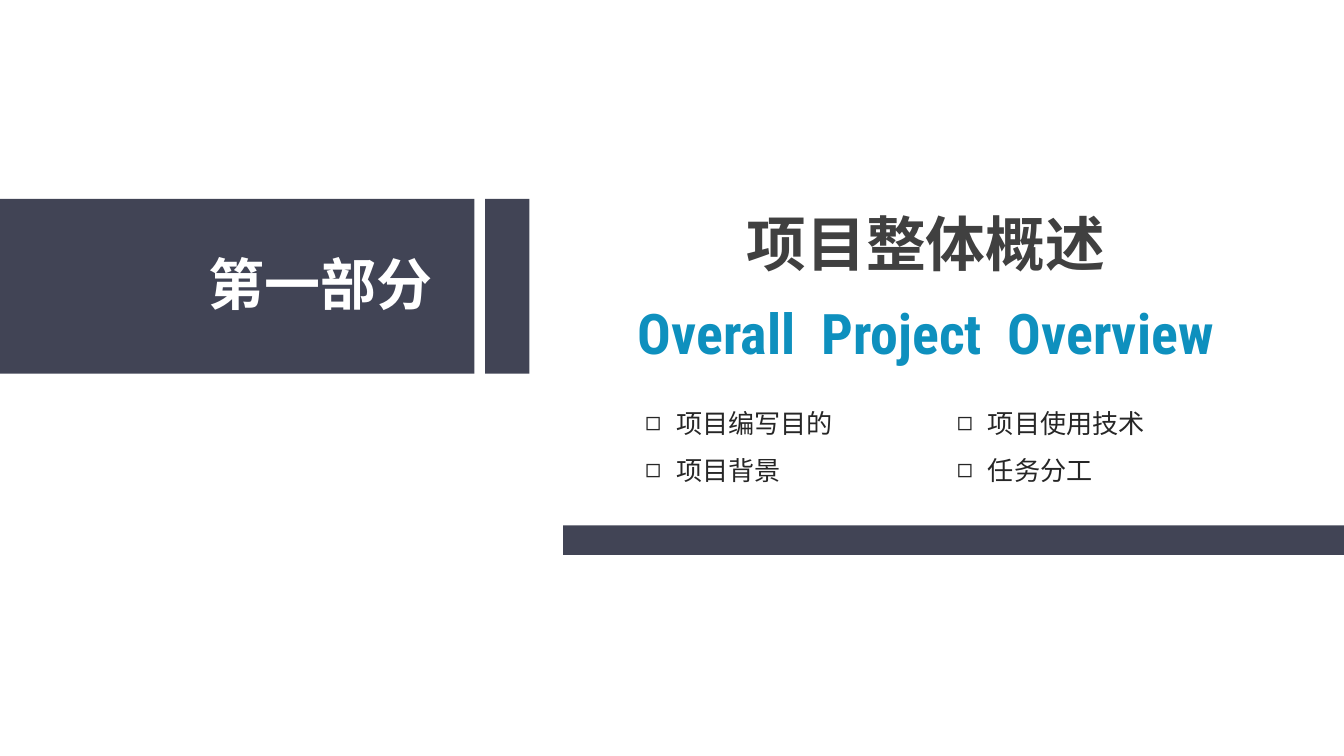
from lxml import etree
from pptx import Presentation
from pptx.dml.color import RGBColor
from pptx.enum.shapes import MSO_SHAPE as Shape
from pptx.enum.text import MSO_ANCHOR as Anchor, MSO_AUTO_SIZE as AutoSize, PP_ALIGN as Align
from pptx.oxml.ns import qn
from pptx.util import Inches, Pt

COLORS = {"navy": "414455", "white": "FFFFFF", "blue": "0E90BE", "gray": "404040", "ink": "262626"}
CJK, LATIN = "Noto Sans CJK SC", "Roboto Condensed"

# Content
PART = "第一部分"
TITLE = "项目整体概述"
SUBTITLE = "Overall  Project  Overview"
TOPICS = [["项目编写目的", "项目背景"], ["项目使用技术", "任务分工"]]

# Layout: left, top, width, height
SLIDE_WIDTH = 10
SLIDE_HEIGHT = SLIDE_WIDTH * 9 / 16
BAND_TOP, BAND_HEIGHT = 1.48, 1.3
BARS = [
    (0, BAND_TOP, 3.53, BAND_HEIGHT),
    (3.61, BAND_TOP, 0.33, BAND_HEIGHT),
    (4.19, 3.91, 5.82, 0.22),
]
PART_BOX = (1.48, 1.82, 1.83, 0.58)
TITLE_BOX = (5.47, 1.5, 2.84, 0.61)
SUBTITLE_BOX = (4.64, 2.18, 4.5, 0.58)
TOPIC_LEFT, TOPIC_STEP = 4.73, 2.32
TOPIC_TOP, TOPIC_WIDTH, TOPIC_HEIGHT = 2.99, 1.57, 0.66
TOPIC_GAP, TOPIC_INDENT = 8.5, 0.23


def inches(box):
    return [Inches(value) for value in box]


def add_bullet(paragraph):
    properties = paragraph._p.get_or_add_pPr()
    properties.set("marL", str(Inches(TOPIC_INDENT)))
    properties.set("indent", str(-Inches(TOPIC_INDENT)))
    etree.SubElement(properties, qn("a:buChar"), char="◻")


def write(shape, box, lines, size, color, font=CJK, bold=False,
          align=Align.LEFT, wrap=False, bullets=False):
    shape.left, shape.top, shape.width, shape.height = inches(box)
    frame = shape.text_frame
    frame_format = {
        "margin_left": Inches(0.07), "margin_right": Inches(0.07),
        "margin_top": Inches(0.04), "margin_bottom": Inches(0.04),
        "word_wrap": wrap, "auto_size": AutoSize.NONE, "vertical_anchor": Anchor.MIDDLE,
    }
    for name, value in frame_format.items():
        setattr(frame, name, value)
    for index, line in enumerate(lines):
        paragraph = frame.add_paragraph() if index else frame.paragraphs[0]
        paragraph.alignment = align
        paragraph.space_before = Pt(TOPIC_GAP if index else 0)
        if bullets:
            add_bullet(paragraph)
        run = paragraph.add_run()
        run.text = line
        for name, value in {"size": Pt(size), "bold": bold, "name": font}.items():
            setattr(run.font, name, value)
        run.font.color.rgb = RGBColor.from_string(COLORS[color])
        etree.SubElement(run._r.get_or_add_rPr(), qn("a:ea"), typeface=font)


def main():
    presentation = Presentation()
    presentation.slide_width, presentation.slide_height = inches((SLIDE_WIDTH, SLIDE_HEIGHT))
    slide = presentation.slides.add_slide(presentation.slide_layouts.get_by_name("Two Content"))
    title, *columns = slide.placeholders

    # Bars
    for box in BARS:
        bar = slide.shapes.add_shape(Shape.RECTANGLE, *inches(box))
        bar.shadow.inherit = False
        bar.fill.solid()
        bar.fill.fore_color.rgb = RGBColor.from_string(COLORS["navy"])
        bar.line.fill.background()

    # Part label, title and subtitle
    part = slide.shapes.add_textbox(*inches(PART_BOX))
    write(part, PART_BOX, [PART], 30, "white", bold=True)
    write(title, TITLE_BOX, [TITLE], 32, "gray", bold=True, align=Align.CENTER)
    subtitle = slide.shapes.add_textbox(*inches(SUBTITLE_BOX))
    write(subtitle, SUBTITLE_BOX, [SUBTITLE], 30, "blue", LATIN, bold=True, align=Align.CENTER)

    # Topic lists
    for index, (column, topics) in enumerate(zip(columns, TOPICS)):
        box = (TOPIC_LEFT + index * TOPIC_STEP, TOPIC_TOP, TOPIC_WIDTH, TOPIC_HEIGHT)
        write(column, box, topics, 14, "ink", wrap=True, bullets=True)

    presentation.save("out.pptx")


if __name__ == "__main__":
    main()
